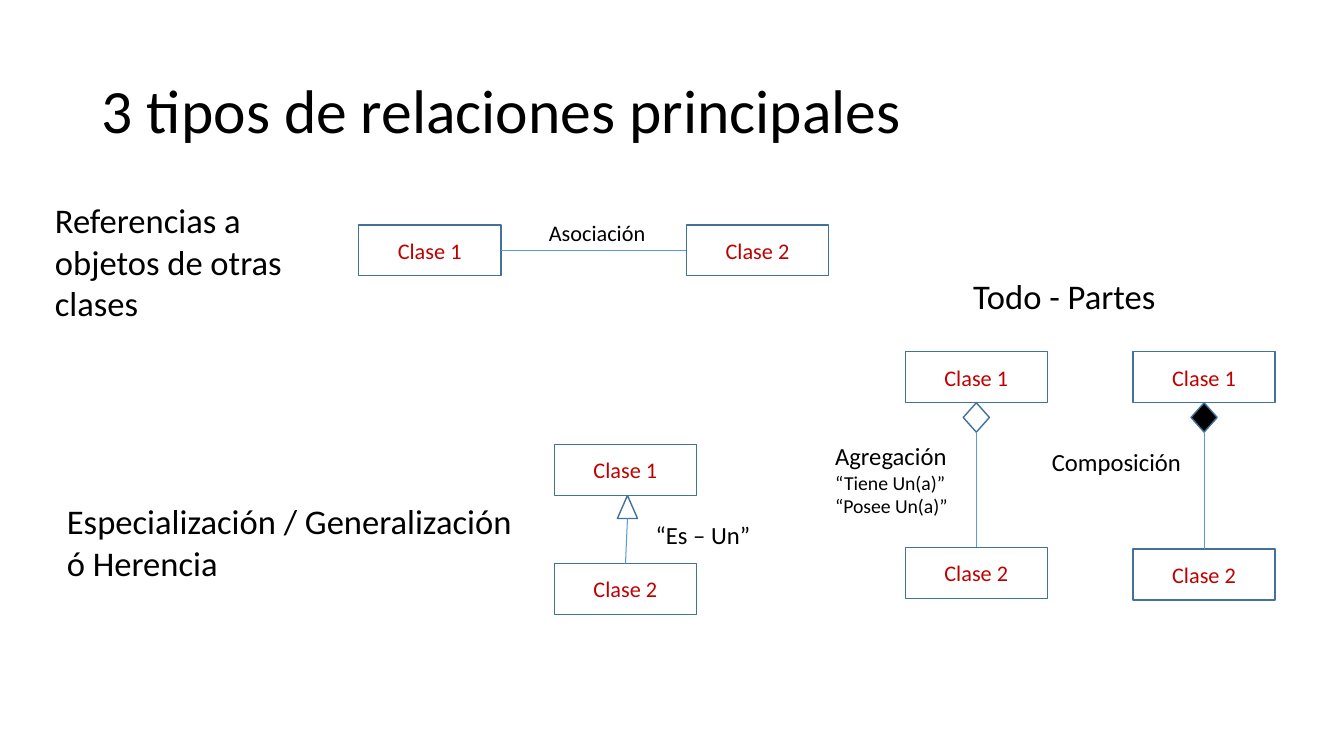
"""Build a slide on the three main kinds of relationship between classes."""
import pptx
import pptx.util
import pptx.dml.color
import pptx.enum.shapes
import pptx.enum.text
import pptx.oxml.ns
import lxml.etree

Pt = pptx.util.Pt
SHAPE = pptx.enum.shapes.MSO_SHAPE
ALIGN = pptx.enum.text.PP_ALIGN
ANCHOR = pptx.enum.text.MSO_ANCHOR

FONT = "Calibri"
BLACK, WHITE, RED = "000000", "FFFFFF", "C00000"
BORDER, LINK = "42719B", "5B9BD5"
BOX_W, BOX_H = 101.6, 36.4

TITLE = "3 tipos de relaciones principales"
LABELS = [
    ((461.5, 368, 80.6, 28), [("“Es – Un”", 17.6)], False),
    ((688.3, 193, 144.7, 36), [("Todo - Partes", 24.7)], False),
    ((589.7, 311.8, 94.3, 62),
     [("Agregación", 17.6), ("“Tiene Un(a)”", 14.1), ("“Posee Un(a)”", 14.1)], False),
    ((744.5, 316.1, 105.8, 28), [("Composición", 17.6)], False),
    ((41, 354.2, 333.4, 66.2),
     [("Especialización / Generalización", 24.7), ("ó Herencia", 24.7)], False),
    ((32.4, 139, 212.4, 96.5), [("Referencias a objetos de otras clases", 24.7)], True),
    ((385.2, 153.4, 82.1, 26), [("Asociación", 15.9)], False),
]
ASSOCIATION = {"y": 160.6, "lefts": (256.2, 490.3)}
VERTICAL = [
    {"x": 646.6, "tops": (251.3, 391), "mark": SHAPE.FLOWCHART_DECISION,
     "size": (18.7, 21), "fill": WHITE, "shift": 0},
    {"x": 809.3, "tops": (251.3, 392.2), "mark": SHAPE.FLOWCHART_DECISION,
     "size": (18.7, 21), "fill": BLACK, "shift": 0},
    {"x": 396, "tops": (317.5, 402.4), "mark": SHAPE.ISOSCELES_TRIANGLE,
     "size": (14.4, 16.5), "fill": None, "shift": 1.4},
]


def rgb(color):
    return pptx.dml.color.RGBColor.from_string(color)


def write(tf, lines, color=BLACK, align=ALIGN.LEFT, anchor=ANCHOR.TOP, wrap=True, spacing=None):
    tf.word_wrap = wrap
    tf.auto_size = pptx.enum.text.MSO_AUTO_SIZE.NONE
    tf.vertical_anchor = anchor
    tf.margin_left = tf.margin_right = Pt(6.8)
    tf.margin_top = tf.margin_bottom = Pt(3.2)
    for i, (text, size) in enumerate(lines):
        p = tf.add_paragraph() if i else tf.paragraphs[0]
        p.alignment = align
        if spacing:
            p.line_spacing = spacing
        r = p.add_run()
        r.text = text
        r.font.name, r.font.size = FONT, Pt(size)
        r.font.color.rgb = rgb(color)


def shape(s, kind, x, y, w, h, fill=WHITE):
    sp = s.shapes.add_shape(kind, Pt(x), Pt(y), Pt(w), Pt(h))
    sp.shadow.inherit = False
    if fill:
        sp.fill.solid()
        sp.fill.fore_color.rgb = rgb(fill)
    else:
        sp.fill.background()
    sp.line.color.rgb = rgb(BORDER)
    sp.line.width = Pt(1)
    return sp


def class_box(s, number, x, y):
    sp = shape(s, SHAPE.RECTANGLE, x, y, BOX_W, BOX_H)
    write(sp.text_frame, [(f"Clase {number}", 15.9)], color=RED,
          align=ALIGN.CENTER, anchor=ANCHOR.MIDDLE)


def link(s, *ends):
    cn = s.shapes.add_connector(pptx.enum.shapes.MSO_CONNECTOR.STRAIGHT, *map(Pt, ends))
    cn.line.color.rgb = rgb(LINK)
    cn.line.width = Pt(0.75)
    lxml.etree.SubElement(cn._element.spPr, pptx.oxml.ns.qn("a:effectLst"))


def main():
    prs = pptx.Presentation()
    prs.slide_width, prs.slide_height = Pt(960), Pt(540)
    s = prs.slides.add_slide(prs.slide_layouts[5])

    title = s.shapes.title
    title.left, title.top, title.width, title.height = map(Pt, (66, 28.8, 828, 104.4))
    write(title.text_frame, [(TITLE, 44)], anchor=ANCHOR.MIDDLE, spacing=0.9)

    for place, lines, wrap in LABELS:
        tb = s.shapes.add_textbox(*map(Pt, place))
        write(tb.text_frame, lines, wrap=wrap)

    y, lefts = ASSOCIATION["y"], ASSOCIATION["lefts"]
    for number, x in enumerate(lefts, 1):
        class_box(s, number, x, y)
    link(s, lefts[0] + BOX_W, y + BOX_H / 2, lefts[1], y + BOX_H / 2)

    for rel in VERTICAL:
        for number, top in enumerate(rel["tops"], 1):
            class_box(s, number, rel["x"], top)
        w, h = rel["size"]
        center = rel["x"] + BOX_W / 2
        tip = center + rel["shift"]
        mark_y = rel["tops"][0] + BOX_H
        shape(s, rel["mark"], tip - w / 2, mark_y, w, h, rel["fill"])
        link(s, center, rel["tops"][1], tip, mark_y + h)

    prs.save("out.pptx")


if __name__ == "__main__":
    main()
